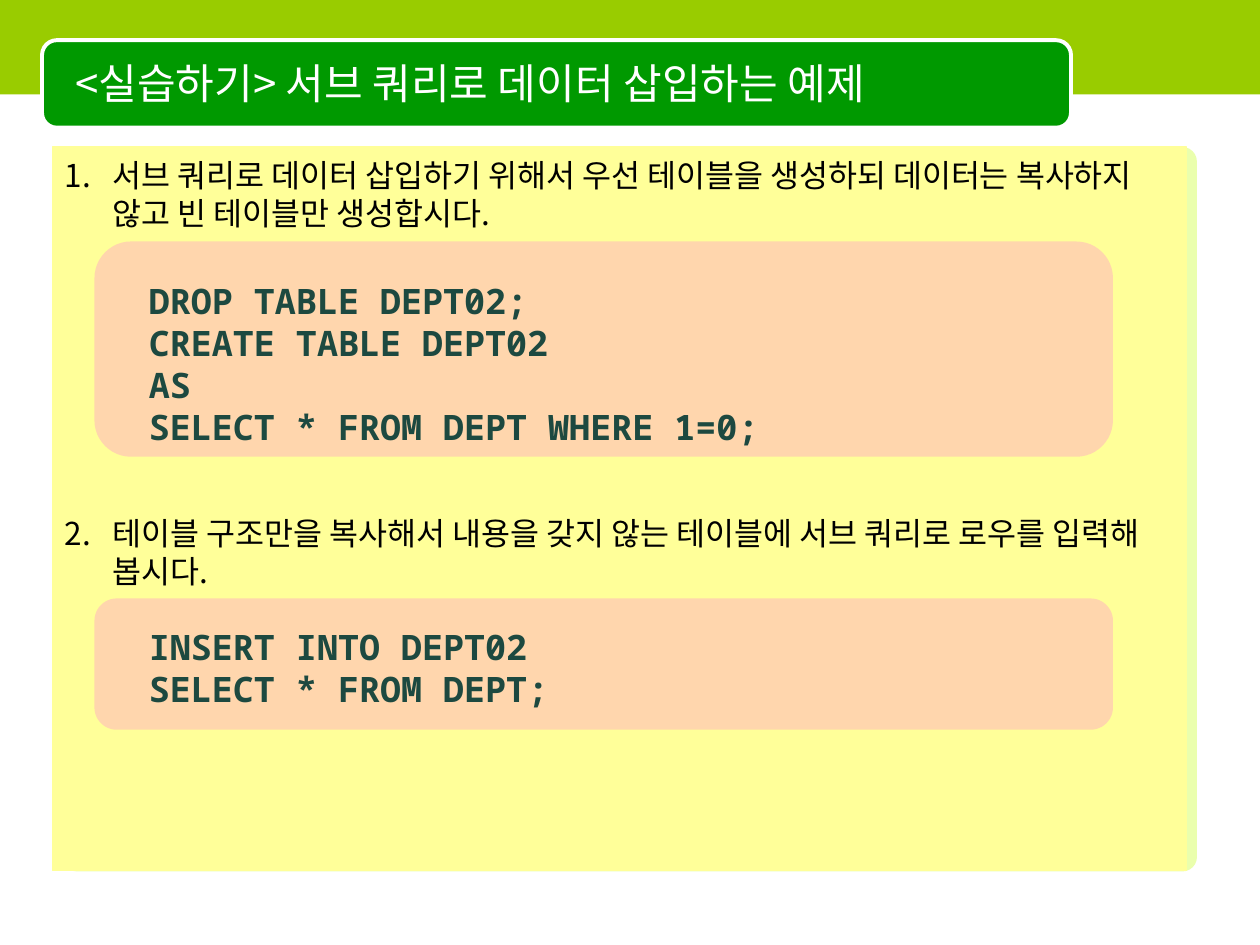
from lxml import etree
from pptx import Presentation
from pptx.dml.color import RGBColor
from pptx.enum.shapes import MSO_SHAPE
from pptx.enum.text import MSO_ANCHOR, PP_ALIGN
from pptx.oxml.ns import qn
from pptx.util import Pt

RECTANGLE, ROUNDED = MSO_SHAPE.RECTANGLE, MSO_SHAPE.ROUNDED_RECTANGLE
TOP, MIDDLE = MSO_ANCHOR.TOP, MSO_ANCHOR.MIDDLE
LEFT = PP_ALIGN.LEFT

TITLE = "<실습하기> 서브 쿼리로 데이터 삽입하는 예제"
STEPS = [
    "서브 쿼리로 데이터 삽입하기 위해서 우선 테이블을 생성하되 데이터는 복사하지 않고 빈 테이블만 생성합시다.",
    "테이블 구조만을 복사해서 내용을 갖지 않는 테이블에 서브 쿼리로 로우를 입력해 봅시다.",
]
# Each listing: card top, card height, text top, lines
LISTINGS = [
    (138, 123, 154, ["DROP TABLE DEPT02;", "CREATE TABLE DEPT02", "AS",
                     "SELECT * FROM DEPT WHERE 1=0;"]),
    (342, 75, 352, ["INSERT INTO DEPT02", "SELECT * FROM DEPT;"]),
]

COLORS = {
    "band": "99CC00", "title": "009900", "white": "FFFFFF", "edge": "CCFF33",
    "panel": "FFFF99", "card": "FF99CC", "black": "000000", "code": "1D4940",
}
BODY_FONT, CODE_FONT = "Noto Sans CJK KR", "Noto Sans Mono"
STEP_INDENT, STEP_GAP = 27, 161
STEP_PITCH, CODE_PITCH = 21.7, 24

deck = Presentation()
deck.slide_width, deck.slide_height = Pt(720), Pt(540)
page = deck.slides.add_slide(deck.slide_layouts[6])


def color(name):
    return RGBColor.from_string(COLORS[name])


def add_block(kind, bounds, fill, line=None, width=0, radius=None, opacity=None):
    block = page.shapes.add_shape(kind, *map(Pt, bounds))
    block.shadow.inherit = False
    block.fill.solid()
    block.fill.fore_color.rgb = color(fill)
    if line:
        block.line.color.rgb = color(line)
        block.line.width = Pt(width)
    else:
        block.line.fill.background()
    if radius is not None:
        block.adjustments[0] = radius
    if opacity:
        tint = block.fill._xPr.find(".//" + qn("a:srgbClr"))
        etree.SubElement(tint, qn("a:alpha"), val=str(opacity * 1000))
    return block


def number(para, start):
    """Give the paragraph a hanging automatic number."""
    properties = para._p.get_or_add_pPr()
    properties.set("marL", str(Pt(STEP_INDENT)))
    properties.set("indent", str(-Pt(STEP_INDENT)))
    etree.SubElement(properties, qn("a:buFont"), typeface=BODY_FONT)
    etree.SubElement(properties, qn("a:buAutoNum"), type="arabicPeriod",
                     startAt=str(start))


def write(box, lines, font, size, ink, anchor=TOP, pitch=None, inset=3.6,
          bold=False, numbered=False):
    frame = box.text_frame
    frame.word_wrap = True
    frame.vertical_anchor = anchor
    frame.margin_top = Pt(inset)
    for index, line in enumerate(lines):
        para = frame.add_paragraph() if index else frame.paragraphs[0]
        para.text = line
        para.alignment = LEFT
        if pitch:
            para.line_spacing = Pt(pitch)
        if numbered:
            if index:
                para.space_before = Pt(STEP_GAP)
            number(para, index + 1)
        para.font.name = font
        para.font.size = Pt(size)
        para.font.bold = bold
        para.font.color.rgb = color(ink)
        latin = para._p.find(".//" + qn("a:latin"))
        latin.addnext(latin.makeelement(qn("a:ea"), {"typeface": font}))


add_block(ROUNDED, (36, 84, 648, 414), "edge", radius=0.02, opacity=40)
add_block(RECTANGLE, (0, 0, 720, 54), "band")
add_block(ROUNDED, (24, 23, 588, 50), "title", "white", 2.25, radius=0.17)

title = page.shapes.add_textbox(Pt(36), Pt(25), Pt(570), Pt(45))
write(title, [TITLE], BODY_FONT, 24, "white", anchor=MIDDLE)

panel = add_block(RECTANGLE, (30, 84, 648, 413.5), "panel", "panel", 0.75)
write(panel, STEPS, BODY_FONT, 18, "black", pitch=STEP_PITCH, inset=5,
      numbered=True)

for card_top, card_height, text_top, lines in LISTINGS:
    add_block(ROUNDED, (54, card_top, 582, card_height), "card",
              radius=0.17, opacity=40)
    code = page.shapes.add_textbox(Pt(78), Pt(text_top), Pt(534),
                                   Pt(len(lines) * CODE_PITCH + 7.2))
    write(code, lines, CODE_FONT, 20, "code", pitch=CODE_PITCH, inset=5.4,
          bold=True)

deck.save("out.pptx")
